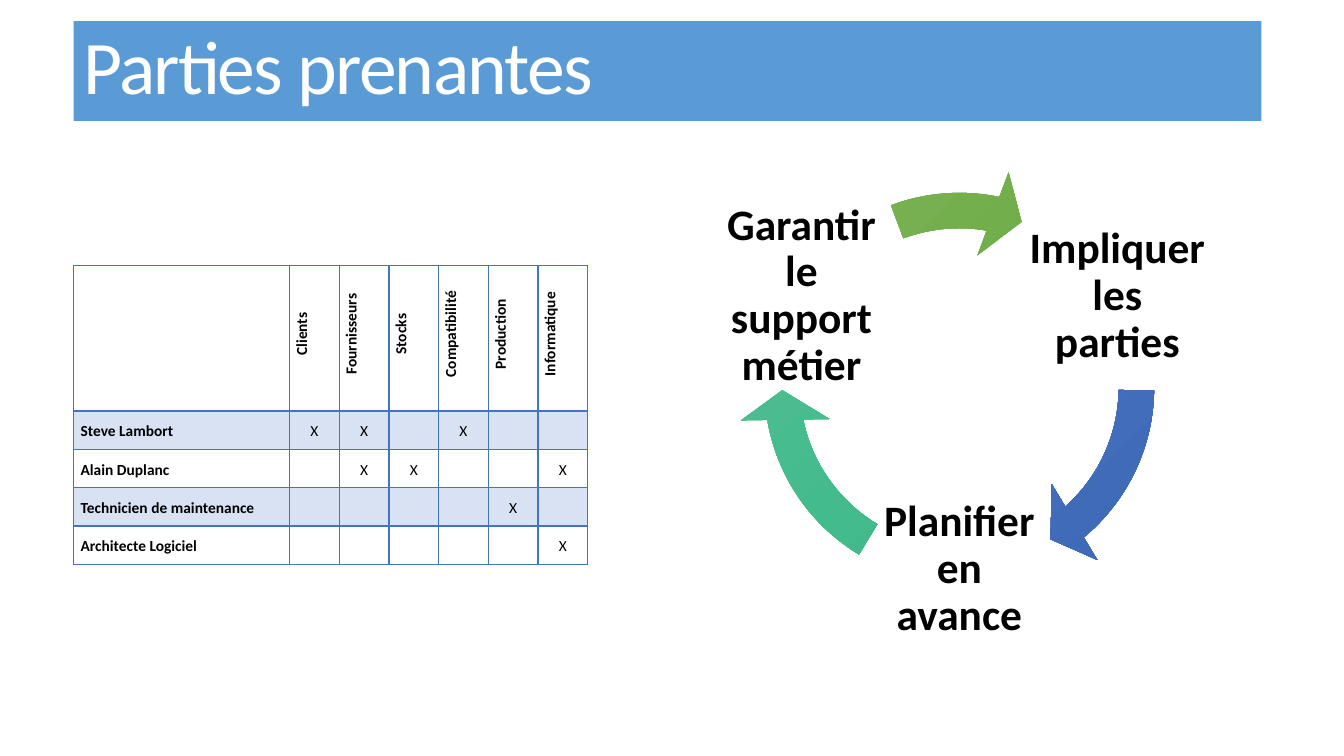
from copy import deepcopy
from math import cos, radians, sin

from lxml.etree import SubElement
from pptx import Presentation
from pptx.dml.color import RGBColor
from pptx.enum.shapes import MSO_SHAPE
from pptx.enum.text import MSO_ANCHOR, PP_ALIGN
from pptx.oxml.ns import qn
from pptx.util import Inches, Pt

BLUE = "4472C4"
AREAS = ["Clients", "Fournisseurs", "Stocks", "Compatibilité", "Production", "Informatique"]
STAKEHOLDERS = {
    "Steve Lambort": ["Clients", "Fournisseurs", "Compatibilité"],
    "Alain Duplanc": ["Fournisseurs", "Stocks", "Informatique"],
    "Technicien de maintenance": ["Production"],
    "Architecte Logiciel": ["Informatique"],
}
STEPS = [
    ("Impliquer les parties", -30, (29.65, 0.51), ("587DC8", BLUE, "3D66B0")),
    ("Planifier en avance", 90, (101.73, 72.59), ("57BF95", "43BB8D", "3DA87F")),
    ("Garantir le support métier", 210, (168.58, 149.66), ("7BB259", "70AD47", "659B40")),
]


def colour(value):
    """Turn a hex string into a colour."""
    return RGBColor.from_string(value)


def write(frame, text, size, ink="000000", bold=False, align=PP_ALIGN.LEFT,
          leading=1.0, after=0, indent=0, tracking=0):
    """Write one formatted paragraph into a text frame."""
    para = frame.paragraphs[0]
    para.alignment, para.line_spacing, para.space_after = align, leading, Pt(after)
    if indent:
        para._p.get_or_add_pPr().set("marL", str(Inches(indent)))
    span = para.add_run()
    span.text = text
    span.font.name, span.font.size, span.font.bold = "Calibri", Pt(size), bold
    span.font.color.rgb = colour(ink)
    if tracking:
        span._r.get_or_add_rPr().set("spc", str(int(tracking * 100)))


def add_title(page, left, top, width, height):
    """Place the title band."""
    band = page.shapes.add_shape(MSO_SHAPE.RECTANGLE, *map(Inches, (left, top, width, height)))
    band.shadow.inherit = False
    band.fill.solid()
    band.fill.fore_color.rgb = colour("5B9BD5")
    band.line.fill.background()
    band.text_frame.word_wrap = True
    band.text_frame.vertical_anchor = MSO_ANCHOR.MIDDLE
    write(band.text_frame, "Parties prenantes", 54, ink="FFFFFF", leading=0.85, tracking=-1.2)


def style_cell(cell, header, shaded):
    """Set the margins, fill and borders of a table cell."""
    cell.margin_left = cell.margin_right = Inches(0.07)
    cell.margin_top = cell.margin_bottom = 0
    cell.vertical_anchor = MSO_ANCHOR.MIDDLE
    if shaded:
        cell.fill.solid()
        cell.fill.fore_color.rgb = colour(BLUE)
    else:
        cell.fill.background()
    properties = cell._tc.get_or_add_tcPr()
    for tint in properties.iter(qn("a:srgbClr")):
        SubElement(tint, qn("a:alpha"), val="20000")
    for place, side in enumerate("LRTB"):
        points = 2 if header and side == "B" else 1
        border = SubElement(properties, qn(f"a:ln{side}"), w=str(Pt(points)))
        SubElement(SubElement(border, qn("a:solidFill")), qn("a:srgbClr"), val=BLUE)
        properties.insert(place, border)


def add_matrix(page, left, top, width, height):
    """Place the table of stakeholders and the areas they cover."""
    box = map(Inches, (left, top, width, height))
    table = page.shapes.add_table(len(STAKEHOLDERS) + 1, len(AREAS) + 1, *box).table
    table.first_row = table.horz_banding = False
    name_share, header_share = 0.42, 0.488
    for number, column in enumerate(table.columns):
        share = (1 - name_share) / len(AREAS) if number else name_share
        column.width = Inches(width * share)
    for number, row in enumerate(table.rows):
        share = (1 - header_share) / len(STAKEHOLDERS) if number else header_share
        row.height = Inches(height * share)
        for cell in row.cells:
            style_cell(cell, header=number == 0, shaded=number % 2 == 1)
    for column, area in enumerate(AREAS, 1):
        cell = table.cell(0, column)
        cell._tc.get_or_add_tcPr().set("vert", "vert270")
        write(cell.text_frame, area, 11, bold=True, align=PP_ALIGN.CENTER,
              leading=1.14, after=6, indent=0.08)
    for row, (name, covered) in enumerate(STAKEHOLDERS.items(), 1):
        write(table.cell(row, 0).text_frame, name, 11, bold=True, leading=1.14, after=6)
        for area in covered:
            cell = table.cell(row, AREAS.index(area) + 1)
            write(cell.text_frame, "X", 11, align=PP_ALIGN.CENTER, leading=1.14, after=6)


def fill_gradient(shape, shades):
    """Fill a shape with a diagonal gradient of three shades."""
    shape.fill.gradient()
    shape.fill.gradient_angle = 315
    first = shape.fill._fill._gradFill.find(qn("a:gsLst"))[0]
    first.addnext(deepcopy(first))
    for stop, shade, position in zip(shape.fill.gradient_stops, shades, (0, 0.5, 1)):
        stop.color.rgb = colour(shade)
        stop.position = position


def add_cycle(page, left, top, size):
    """Place the steps around a ring, each followed by its arrow."""
    cycle = page.shapes.add_group_shape()
    side, radius = size * 0.424, size * 0.412
    for text, angle, (end, start), shades in STEPS:
        x = left + size / 2 + radius * cos(radians(angle)) - side / 2
        y = top + size / 2 + radius * sin(radians(angle)) - side / 2
        label = cycle.shapes.add_textbox(*map(Inches, (x, y, side, side)))
        frame = label.text_frame
        frame.word_wrap, frame.vertical_anchor = True, MSO_ANCHOR.MIDDLE
        frame.margin_left = frame.margin_right = Inches(0.04)
        frame.margin_top = frame.margin_bottom = Inches(0.04)
        write(frame, text, 31, bold=True, align=PP_ALIGN.CENTER, leading=0.9)
        arrow = cycle.shapes.add_shape(
            MSO_SHAPE.CIRCULAR_ARROW, *map(Inches, (left, top, size, size)))
        for number, value in enumerate((0.08, 5.76, end, start, 0.1)):
            arrow.adjustments[number] = value
        arrow.shadow.inherit = False
        arrow.line.fill.background()
        fill_gradient(arrow, shades)


def main():
    """Build the slide and save it."""
    deck = Presentation()
    deck.slide_width, deck.slide_height = Inches(13.33), Inches(7.5)
    page = deck.slides.add_slide(deck.slide_layouts[6])
    add_title(page, 0.73, 0.21, 11.78, 0.99)
    add_matrix(page, 0.73, 2.63, 5.1, 2.97)
    add_cycle(page, 7.32, 1.65, 4.39)
    deck.save("out.pptx")


if __name__ == "__main__":
    main()
